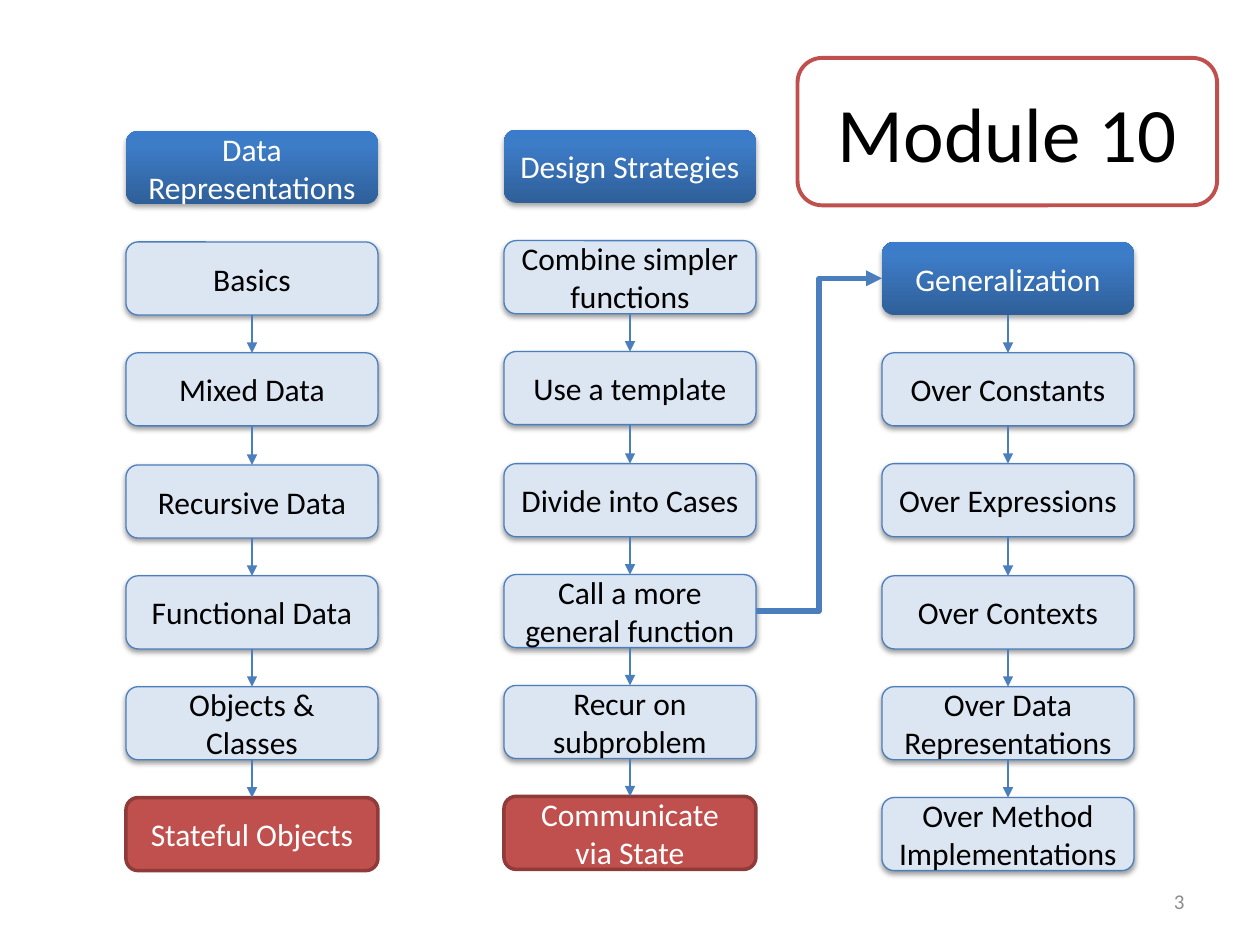
from copy import deepcopy
from dataclasses import dataclass
from typing import Optional

from lxml.etree import SubElement
from pptx import Presentation
from pptx.dml.color import RGBColor
from pptx.enum.shapes import MSO_CONNECTOR, MSO_SHAPE
from pptx.enum.text import MSO_ANCHOR, PP_ALIGN
from pptx.oxml.ns import qn
from pptx.util import Inches, Pt

BLUE = "4B7EBC"
HEADER_STOPS = ((0, "2F5F99"), (0.8, "3D7CC7"), (1, "3A7CCB"))
TOP_SITE, LEFT_SITE, BOTTOM_SITE, RIGHT_SITE = range(4)
BOX_WIDTH, BOX_HEIGHT, ROW_PITCH = 2, 0.58, 0.882


@dataclass(frozen=True)
class BoxStyle:
    """Look of one kind of box; a fill of None means no fill."""
    fill: Optional[str] = None
    stops: tuple = ()
    line: Optional[str] = None
    line_width: float = 0.75
    shadow_alpha: int = 0
    shadow_distance: float = 0
    text_color: str = "000000"
    size: int = 18


@dataclass(frozen=True)
class Column:
    """A heading and the steps below it."""
    left: float
    top: float
    heading: str
    steps: tuple
    final: Optional[str] = None
    linked_heading: bool = False


HEADER = BoxStyle(stops=HEADER_STOPS, shadow_alpha=35, shadow_distance=1.8,
                  text_color="FFFFFF")
STEP = BoxStyle(fill="DCE6F2", line=BLUE, shadow_alpha=38, shadow_distance=1.6)
FINAL = BoxStyle(fill="C0504D", line="8E3B39", line_width=2, text_color="FFFFFF")
MODULE = BoxStyle(line="C0504D", line_width=2.25, size=44)

COLUMNS = (
    Column(1, 1.04, "Data Representations",
           ("Basics", "Mixed Data", "Recursive Data", "Functional Data",
            "Objects & Classes"), final="Stateful Objects"),
    Column(4, 1.03, "Design Strategies",
           ("Combine simpler functions", "Use a template", "Divide into Cases",
            "Call a more general function", "Recur on subproblem"),
           final="Communicate via State"),
    Column(7, 1.92, "Generalization",
           ("Over Constants", "Over Expressions", "Over Contexts",
            "Over Data Representations", "Over Method Implementations"),
           linked_heading=True),
)


def rgb(color: str) -> RGBColor:
    """Turn a hex string into a colour."""
    return RGBColor.from_string(color)


def write(shape, text: str, *, size: int = 18, color: str = "000000",
          align=PP_ALIGN.CENTER) -> None:
    """Put one formatted paragraph into a shape."""
    frame = shape.text_frame
    frame.word_wrap = True
    frame.vertical_anchor = MSO_ANCHOR.MIDDLE
    paragraph = frame.paragraphs[0]
    paragraph.alignment = align
    run = paragraph.add_run()
    run.text = text
    run.font.name = "Calibri"
    run.font.size = Pt(size)
    run.font.color.rgb = rgb(color)


def fill_gradient(shape, stops: tuple) -> None:
    """Fill a shape with a three-stop gradient running upwards."""
    shape.fill.gradient()
    shape.fill.gradient_angle = 90
    stop_list = shape.fill._xPr.find(qn("a:gradFill")).find(qn("a:gsLst"))
    stop_list.append(deepcopy(stop_list[0]))
    for stop, (position, color) in zip(shape.fill.gradient_stops, stops):
        stop.position = position
        stop.color.rgb = rgb(color)


def cast_shadow(shape, alpha: int, distance: float) -> None:
    """Give a shape a soft shadow below it."""
    effects = shape._element.spPr.find(qn("a:effectLst"))
    shadow = SubElement(effects, qn("a:outerShdw"), blurRad=str(Pt(3.1)),
                        dist=str(Pt(distance)), dir="5400000", rotWithShape="0")
    black = SubElement(shadow, qn("a:srgbClr"), val="000000")
    SubElement(black, qn("a:alpha"), val=str(alpha * 1000))


def add_box(slide, text: str, left: float, top: float, style: BoxStyle,
            width: float = BOX_WIDTH, height: float = BOX_HEIGHT):
    """Draw a rounded box with centred text."""
    box = slide.shapes.add_shape(MSO_SHAPE.ROUNDED_RECTANGLE, Inches(left),
                                 Inches(top), Inches(width), Inches(height))
    if style.stops:
        fill_gradient(box, style.stops)
    elif style.fill:
        box.fill.solid()
        box.fill.fore_color.rgb = rgb(style.fill)
    else:
        box.fill.background()
    if style.line:
        box.line.color.rgb = rgb(style.line)
        box.line.width = Pt(style.line_width)
    else:
        box.line.fill.background()
    box.shadow.inherit = False
    if style.shadow_alpha:
        cast_shadow(box, style.shadow_alpha, style.shadow_distance)
    write(box, text, size=style.size, color=style.text_color)
    return box


def link(slide, source, target, *, kind=MSO_CONNECTOR.STRAIGHT,
         start: int = BOTTOM_SITE, end: int = TOP_SITE, width: float = 0.75) -> None:
    """Join two boxes with an arrow."""
    arrow = slide.shapes.add_connector(kind, 0, 0, 0, 0)
    arrow.begin_connect(source, start)
    arrow.end_connect(target, end)
    arrow.line.color.rgb = rgb(BLUE)
    arrow.line.width = Pt(width)
    SubElement(arrow.line._get_or_add_ln(), qn("a:tailEnd"), type="triangle")
    SubElement(arrow._element.spPr, qn("a:effectLst"))


def add_column(slide, column: Column) -> dict:
    """Draw a column with its arrows and return its boxes by text."""
    rows = [(column.heading, HEADER)] + [(step, STEP) for step in column.steps]
    if column.final:
        rows.append((column.final, FINAL))
    boxes = {text: add_box(slide, text, column.left,
                           round(column.top + row * ROW_PITCH, 2), style)
             for row, (text, style) in enumerate(rows)}
    chain = list(boxes.values())
    if not column.linked_heading:
        chain = chain[1:]
    for upper, lower in zip(chain, chain[1:]):
        link(slide, upper, lower)
    return boxes


def main() -> None:
    """Build and save the slide."""
    deck = Presentation()
    deck.slide_width, deck.slide_height = Inches(10), Inches(7.5)
    slide = deck.slides.add_slide(deck.slide_layouts[6])

    boxes = {}
    for column in COLUMNS:
        boxes.update(add_column(slide, column))
    link(slide, boxes["Call a more general function"], boxes["Generalization"],
         kind=MSO_CONNECTOR.ELBOW, start=RIGHT_SITE, end=LEFT_SITE, width=3)

    add_box(slide, "Module 10", 6.33, 0.46, MODULE, width=3.33, height=1.17)
    page_number = slide.shapes.add_textbox(Inches(7.17), Inches(6.95),
                                           Inches(2.33), Inches(0.4))
    write(page_number, "3", size=12, color="8C8C8C", align=PP_ALIGN.RIGHT)
    deck.save("out.pptx")


main()
